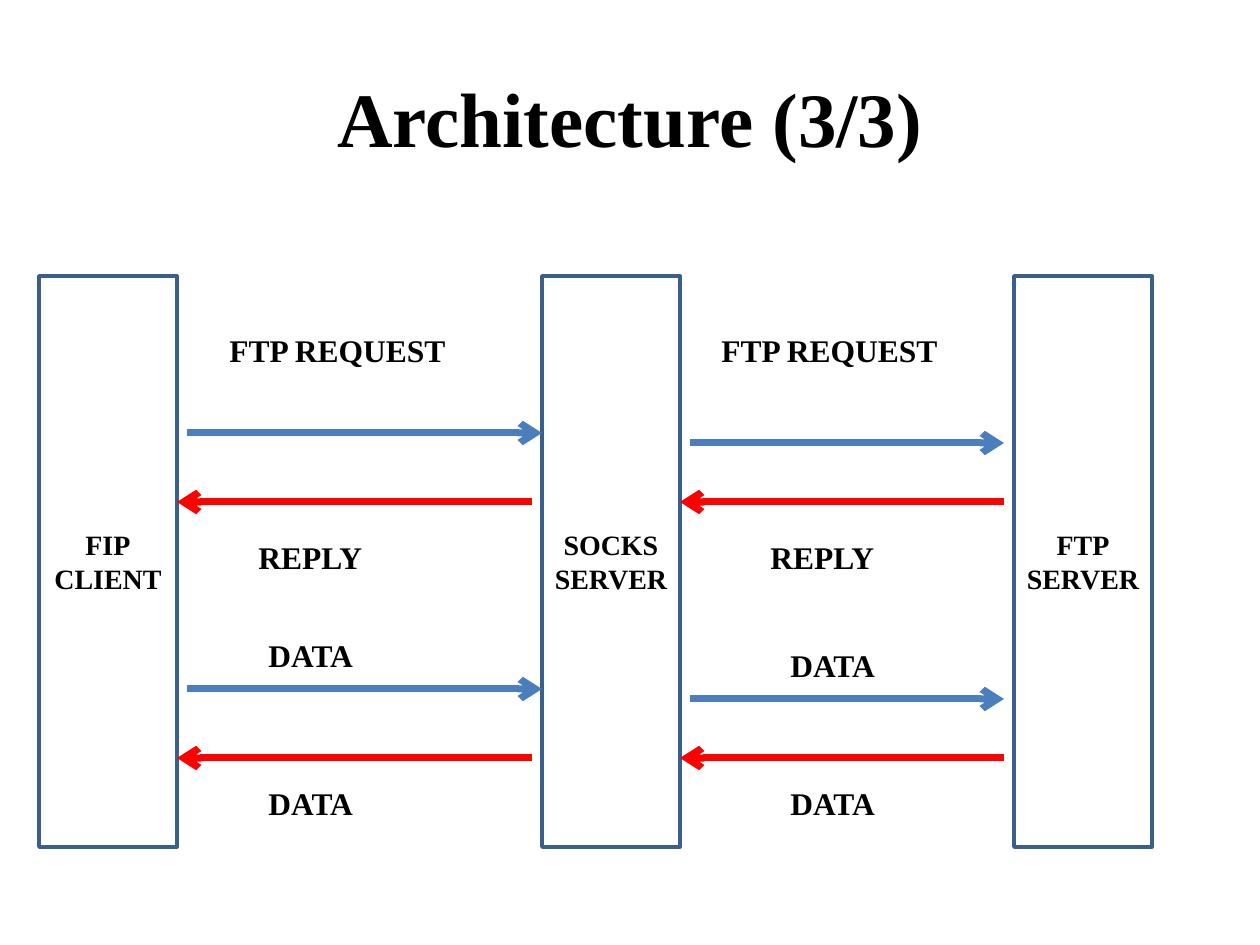
"""Build the Architecture (3/3) slide: FTP traffic passing through a SOCKS server."""
from dataclasses import dataclass

from lxml.etree import SubElement
from pptx import Presentation
from pptx.dml.color import RGBColor
from pptx.enum.shapes import MSO_CONNECTOR, MSO_SHAPE
from pptx.enum.text import MSO_ANCHOR, MSO_AUTO_SIZE, PP_ALIGN
from pptx.oxml.ns import qn
from pptx.util import Emu, Pt


@dataclass(frozen=True)
class Theme:
    font: str = "Times New Roman"
    ink: str = "000000"
    outline: str = "3A5F8C"
    forward: str = "4B7EBC"
    backward: str = "FF0000"
    title_size: int = 44
    host_size: int = 16
    label_size: int = 18
    outline_width: int = 2
    arrow_width: int = 4


def px(length):
    return Emu(round(length * 914400 / 126))


def apply(target, values):
    for name, value in values.items():
        setattr(target, name, value)


class Diagram:
    def __init__(self, slide, theme):
        self.slide = slide
        self.theme = theme

    def set_text(self, frame, lines, size, align, **frame_format):
        apply(frame, {"word_wrap": True, **frame_format})
        for index, line in enumerate(lines):
            paragraph = frame.paragraphs[0] if index == 0 else frame.add_paragraph()
            paragraph.alignment = align
            run = paragraph.add_run()
            run.text = line
            apply(run.font, {"name": self.theme.font, "size": Pt(size), "bold": True})
            run.font.color.rgb = RGBColor.from_string(self.theme.ink)

    def stroke(self, line, color, width):
        line.color.rgb = RGBColor.from_string(color)
        line.width = Pt(width)

    def title(self, text, left, top, width, height):
        heading = self.slide.shapes.title
        apply(heading, {"left": px(left), "top": px(top),
                        "width": px(width), "height": px(height)})
        self.set_text(heading.text_frame, [text], self.theme.title_size,
                      PP_ALIGN.CENTER, vertical_anchor=MSO_ANCHOR.MIDDLE)

    def host(self, lines, left, top, width, height):
        host = self.slide.shapes.add_shape(
            MSO_SHAPE.RECTANGLE, px(left), px(top), px(width), px(height))
        host.shadow.inherit = False
        host.fill.background()
        self.stroke(host.line, self.theme.outline, self.theme.outline_width)
        self.set_text(host.text_frame, lines, self.theme.host_size, PP_ALIGN.CENTER,
                      vertical_anchor=MSO_ANCHOR.MIDDLE,
                      margin_left=px(6), margin_right=px(6))

    def label(self, text, left, top, width=452, height=50):
        label = self.slide.shapes.add_textbox(px(left), px(top), px(width), px(height))
        self.set_text(label.text_frame, [text], self.theme.label_size, PP_ALIGN.LEFT,
                      auto_size=MSO_AUTO_SIZE.SHAPE_TO_FIT_TEXT)

    def arrow(self, start, end, y, color):
        arrow = self.slide.shapes.add_connector(
            MSO_CONNECTOR.STRAIGHT, px(start), px(y), px(end), px(y))
        self.stroke(arrow.line, color, self.theme.arrow_width)
        properties = arrow._element.spPr
        SubElement(properties.find(qn("a:ln")), qn("a:tailEnd"), type="arrow")
        SubElement(properties, qn("a:effectLst"))


def main():
    presentation = Presentation()
    apply(presentation, {"slide_width": px(1260), "slide_height": px(945)})
    slide = presentation.slides.add_slide(presentation.slide_layouts[5])
    theme = Theme()
    diagram = Diagram(slide, theme)
    diagram.title("Architecture (3/3)", 63, 38, 1134, 157)

    host_top, host_width, host_height = 276, 138, 571
    client, socks, server = 39, 542, 1014
    for left, lines in ((client, ["FIP", "CLIENT"]),
                        (socks, ["SOCKS", "SERVER"]),
                        (server, ["FTP", "SERVER"])):
        diagram.host(lines, left, host_top, host_width, host_height)

    gap, exchange_pitch = 10, 256
    request_y, reply_y = 433, 502
    for source, target, target_gap, drop in ((client, socks, 0, 0),
                                             (socks, server, gap, gap)):
        edge = source + host_width
        for exchange in range(2):
            offset = exchange * exchange_pitch
            diagram.arrow(edge + gap, target - target_gap,
                          request_y + drop + offset, theme.forward)
            diagram.arrow(target - gap, edge, reply_y + offset, theme.backward)

    for text, lefts, tops in (("FTP REQUEST", (217, 709), (325, 325)),
                              ("REPLY", (246, 758), (532, 532)),
                              ("DATA", (256, 778), (630, 640)),
                              ("DATA", (256, 778), (778, 778))):
        for left, top in zip(lefts, tops):
            diagram.label(text, left, top)

    presentation.save("out.pptx")


if __name__ == "__main__":
    main()
